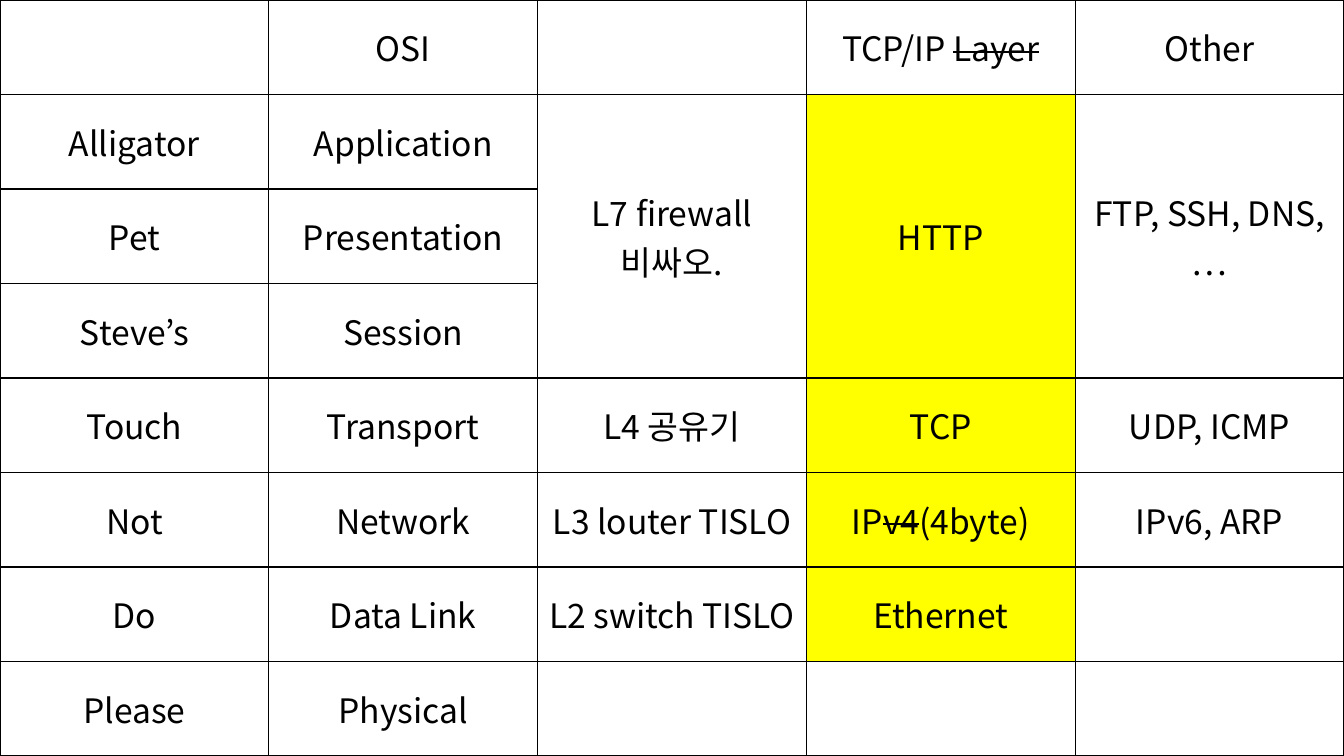
import pptx
import pptx.dml.color
import pptx.enum.text
import pptx.oxml
import pptx.oxml.ns
import pptx.util

Inches = pptx.util.Inches
BLACK = pptx.dml.color.RGBColor(0x00, 0x00, 0x00)
YELLOW = pptx.dml.color.RGBColor(0xFF, 0xFF, 0x00)
FONT = "Noto Sans CJK KR"
WIDTH, HEIGHT = 13.33, 7.5

# Layers by row; ~text~ is struck through, a line break starts a paragraph
LAYERS = [
    ["", "OSI", "", "TCP/IP ~Layer~", "Other"],
    ["Alligator", "Application", "L7 firewall\n비싸오.", "HTTP", "FTP, SSH, DNS, …"],
    ["Pet", "Presentation", "", "", ""],
    ["Steve’s", "Session", "", "", ""],
    ["Touch", "Transport", "L4 공유기", "TCP", "UDP, ICMP"],
    ["Not", "Network", "L3 louter TISLO", "IP~v4~(4byte)", "IPv6, ARP"],
    ["Do", "Data Link", "L2 switch TISLO", "Ethernet", ""],
    ["Please", "Physical", "", "", ""],
]
TCP_IP_COLUMN = 3
TCP_IP_ROWS = range(1, 7)
TEXT_FORMAT = {"name": FONT, "size": pptx.util.Pt(24), "bold": False}
TABLE_FORMAT = {"first_row": False, "horz_banding": False}


def add_borders(cell):
    cell_properties = cell._tc.get_or_add_tcPr()
    for side in ("lnL", "lnR", "lnT", "lnB"):
        cell_properties.append(pptx.oxml.parse_xml(
            f'<a:{side} {pptx.oxml.ns.nsdecls("a")} w="{pptx.util.Pt(1)}">'
            f'<a:solidFill><a:srgbClr val="{BLACK}"/></a:solidFill></a:{side}>'))


def write_line(paragraph, line):
    paragraph.alignment = pptx.enum.text.PP_ALIGN.CENTER
    for index, part in enumerate(line.split("~")):
        if not part:
            continue
        run = paragraph.add_run()
        run.text = part
        for attribute, value in TEXT_FORMAT.items():
            setattr(run.font, attribute, value)
        run.font.color.rgb = BLACK
        run_properties = run._r.get_or_add_rPr()
        if index % 2:
            run_properties.set("strike", "sngStrike")
        east_asian = pptx.oxml.parse_xml(
            f'<a:ea {pptx.oxml.ns.nsdecls("a")} typeface="{FONT}"/>')
        run_properties.find(pptx.oxml.ns.qn("a:latin")).addnext(east_asian)


# Slide
presentation = pptx.Presentation()
presentation.slide_width = Inches(WIDTH)
presentation.slide_height = Inches(HEIGHT)
slide = presentation.slides.add_slide(presentation.slide_layouts[6])

# Full-slide table with equal rows and columns
layer_table = slide.shapes.add_table(
    len(LAYERS), len(LAYERS[0]), 0, 0, Inches(WIDTH), Inches(HEIGHT)).table
for attribute, value in TABLE_FORMAT.items():
    setattr(layer_table, attribute, value)

# Cells
for row, texts in enumerate(LAYERS):
    for column, text in enumerate(texts):
        cell = layer_table.cell(row, column)
        add_borders(cell)
        if column == TCP_IP_COLUMN and row in TCP_IP_ROWS:
            cell.fill.solid()
            cell.fill.fore_color.rgb = YELLOW
        else:
            cell.fill.background()
        cell.vertical_anchor = pptx.enum.text.MSO_ANCHOR.MIDDLE
        for index, line in enumerate(text.split("\n")):
            frame = cell.text_frame
            write_line(frame.add_paragraph() if index else frame.paragraphs[0], line)

# The top three OSI layers share one cell in each of the last three columns
for column in range(2, 5):
    layer_table.cell(1, column).merge(layer_table.cell(3, column))

presentation.save("out.pptx")
